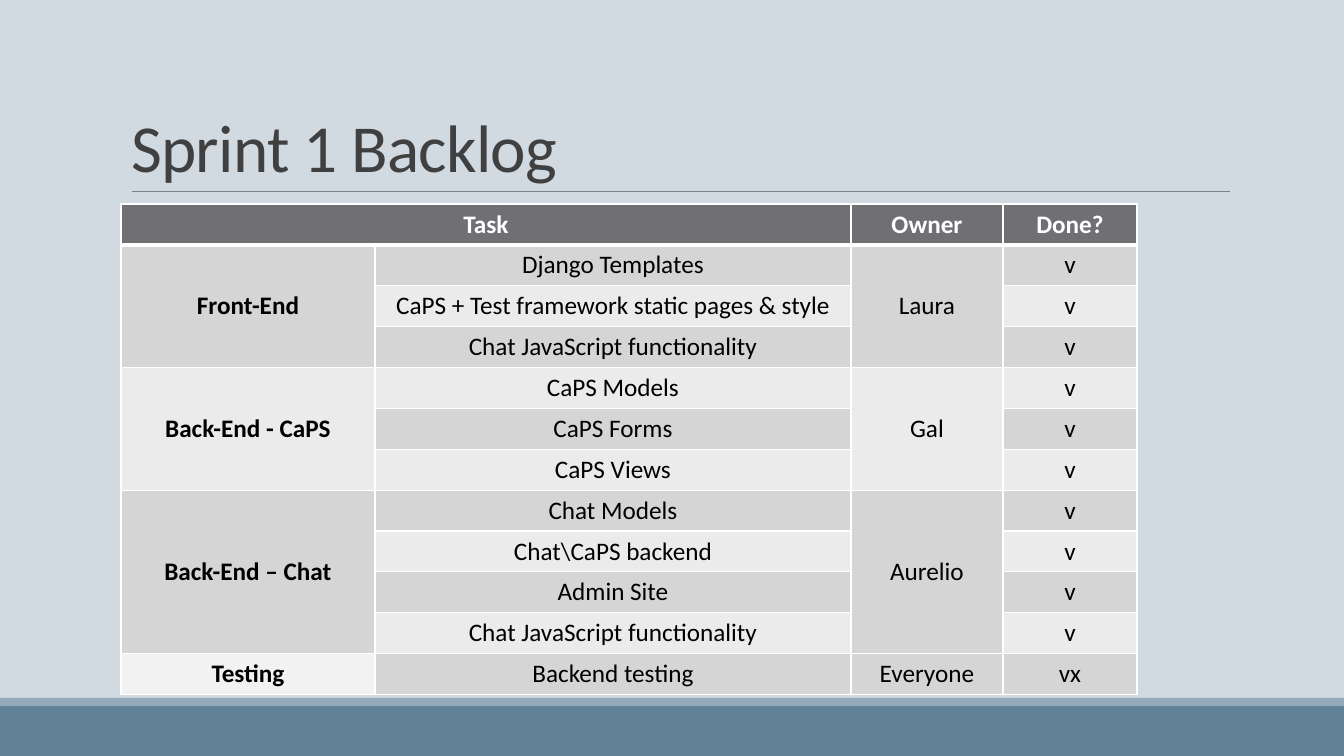
import pptx
import pptx.util
import pptx.dml.color
import pptx.enum.shapes
import pptx.enum.text
import pptx.oxml
import pptx.oxml.ns
import lxml.etree

EMU_PER_PIXEL = 12192000 / 1344
FONT = "Calibri"
COLORS = {
    "background": "D1D9E1",
    "footer": "618197",
    "footer_edge": "92A9B9",
    "rule": "808080",
    "title": "404040",
    "header": "6F6F74",
    "dark_band": "D5D5D6",
    "light_band": "EBEBEB",
    "testing": "F2F2F2",
    "white": "FFFFFF",
    "black": "000000",
}
HEADINGS = ["Task", "", "Owner", "Done?"]
BACKLOG = [
    ("Front-End", "Laura", [
        ("Django Templates", "v"),
        ("CaPS + Test framework static pages & style", "v"),
        ("Chat JavaScript functionality", "v"),
    ]),
    ("Back-End - CaPS", "Gal", [
        ("CaPS Models", "v"),
        ("CaPS Forms", "v"),
        ("CaPS Views", "v"),
    ]),
    ("Back-End – Chat", "Aurelio", [
        ("Chat Models", "v"),
        ("Chat\\CaPS backend", "v"),
        ("Admin Site", "v"),
        ("Chat JavaScript functionality", "v"),
    ]),
    ("Testing", "Everyone", [("Backend testing", "vx")]),
]
COLUMN_WIDTHS = [254, 476, 152, 134]
ROW_HEIGHT = 40


def px(length):
    return pptx.util.Emu(round(length * EMU_PER_PIXEL))


def rgb(name):
    return pptx.dml.color.RGBColor.from_string(COLORS[name])


def paint(fill, color):
    fill.solid()
    fill.fore_color.rgb = rgb(color)


def set_font(paragraph, size, color, bold=False):
    paragraph.font.name = FONT
    paragraph.font.size = pptx.util.Pt(size)
    paragraph.font.bold = bold
    paragraph.font.color.rgb = rgb(color)


def add_band(slide, left, top, width, height, color):
    band = slide.shapes.add_shape(
        pptx.enum.shapes.MSO_SHAPE.RECTANGLE, px(left), px(top), px(width), px(height))
    band.shadow.inherit = False
    paint(band.fill, color)
    band.line.fill.background()


def add_footer(slide, left, top, width, height):
    edge_height = 8
    add_band(slide, left, top + edge_height, width, height - edge_height, "footer")
    add_band(slide, left, top, width, edge_height, "footer_edge")


def add_title(slide, left, top, width, height):
    rule = slide.shapes.add_connector(
        pptx.enum.shapes.MSO_CONNECTOR.STRAIGHT,
        px(left + 11), px(top + height), px(left + width), px(top + height))
    rule.line.color.rgb = rgb("rule")
    rule.line.width = pptx.util.Pt(0.5)
    lxml.etree.SubElement(rule._element.spPr, pptx.oxml.ns.qn("a:effectLst"))

    title = slide.shapes.title
    title.left, title.top, title.width, title.height = map(px, (left, top, width, height))
    title.text_frame.text = "Sprint 1 Backlog"
    title.text_frame.auto_size = pptx.enum.text.MSO_AUTO_SIZE.NONE
    title.text_frame.vertical_anchor = pptx.enum.text.MSO_ANCHOR.BOTTOM
    heading = title.text_frame.paragraphs[0]
    heading.alignment = pptx.enum.text.PP_ALIGN.LEFT
    heading.line_spacing = 0.85
    set_font(heading, 48, "title")
    heading._p.pPr.find(pptx.oxml.ns.qn("a:defRPr")).set("spc", "-50")


def add_borders(cell, top=1, bottom=1):
    properties = cell._tc.get_or_add_tcPr()
    for side, points in (("L", 1), ("R", 1), ("T", top), ("B", bottom)):
        properties.append(pptx.oxml.parse_xml(
            f'<a:ln{side} {pptx.oxml.ns.nsdecls("a")} w="{pptx.util.Pt(points)}">'
            f'<a:solidFill><a:srgbClr val="{COLORS["white"]}"/></a:solidFill></a:ln{side}>'))


def style_cell(cell, text, fill, color="black", bold=False, middle=False):
    paint(cell.fill, fill)
    cell.text = text
    if middle:
        cell.vertical_anchor = pptx.enum.text.MSO_ANCHOR.MIDDLE
    paragraph = cell.text_frame.paragraphs[0]
    paragraph.alignment = pptx.enum.text.PP_ALIGN.CENTER
    set_font(paragraph, 18, color, bold)


def band_color(row):
    return "dark_band" if row % 2 else "light_band"


def add_backlog(slide, left, top, width, height):
    row_count = 1 + sum(len(tasks) for _, _, tasks in BACKLOG)
    backlog = slide.shapes.add_table(
        row_count, len(HEADINGS), px(left), px(top), px(width), px(height)).table
    for column, column_width in zip(backlog.columns, COLUMN_WIDTHS):
        column.width = px(column_width)
    for index, row in enumerate(backlog.rows):
        row.height = px(height / row_count)
        for cell in row.cells:
            add_borders(cell, 3 if index == 1 else 1, 3 if index == 0 else 1)

    for column, heading in enumerate(HEADINGS):
        style_cell(backlog.cell(0, column), heading, "header", "white", bold=True)
    backlog.cell(0, 0).merge(backlog.cell(0, 1))

    first = 1
    for area, owner, tasks in BACKLOG:
        last = first + len(tasks) - 1
        for row, (task, done) in enumerate(tasks, first):
            style_cell(backlog.cell(row, 1), task, band_color(row))
            style_cell(backlog.cell(row, 3), done, band_color(row))
        if last > first:
            for column in (0, 2):
                backlog.cell(first, column).merge(backlog.cell(last, column))
        area_fill = "testing" if area == "Testing" else band_color(first)
        style_cell(backlog.cell(first, 0), area, area_fill, bold=True, middle=True)
        style_cell(backlog.cell(first, 2), owner, band_color(first), middle=True)
        first = last + 1


def add_backlog_slide(presentation):
    slide = presentation.slides.add_slide(presentation.slide_layouts.get_by_name("Title Only"))
    paint(slide.background.fill, "background")
    add_footer(slide, 0, 698, 1344, 58)
    add_title(slide, 121, 31, 1109, 160)
    add_backlog(slide, 121, 204, sum(COLUMN_WIDTHS), 12 * ROW_HEIGHT)


presentation = pptx.Presentation()
presentation.slide_width = px(1344)
presentation.slide_height = px(756)
add_backlog_slide(presentation)
presentation.save("out.pptx")
